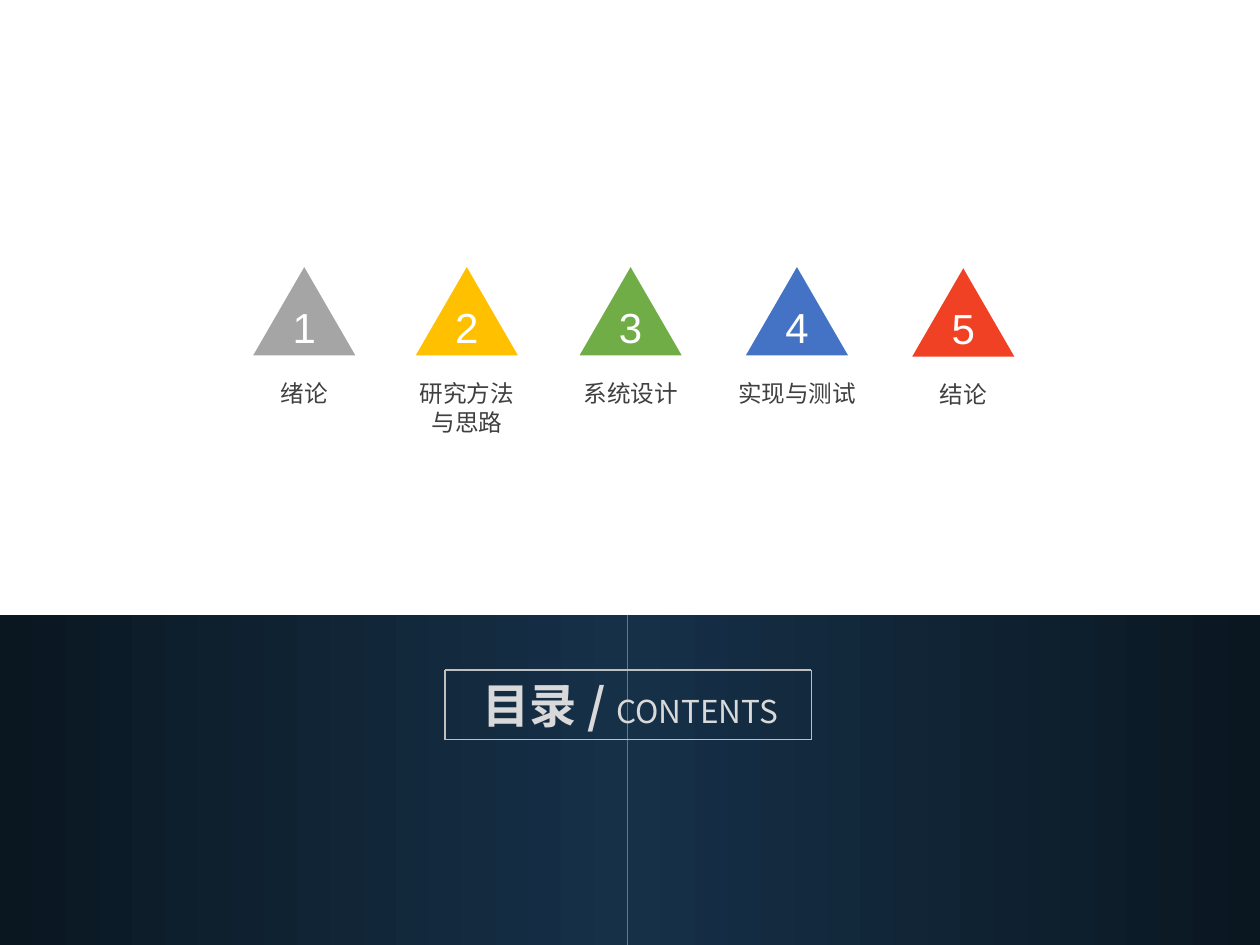
from dataclasses import dataclass

from lxml.etree import SubElement
from pptx import Presentation
from pptx.dml.color import RGBColor
from pptx.enum.shapes import MSO_CONNECTOR, MSO_SHAPE
from pptx.enum.text import MSO_AUTO_SIZE, PP_ALIGN
from pptx.oxml.ns import qn
from pptx.util import Inches, Pt

# number, label lines, triangle left, triangle top, triangle colour
CHAPTERS = [
    ("1", ["绪论"], 2.01, 2.12, "A5A5A5"),
    ("2", ["研究方法", "与思路"], 3.3, 2.12, "FFC000"),
    ("3", ["系统设计"], 4.6, 2.12, "70AD47"),
    ("4", ["实现与测试"], 5.92, 2.12, "4472C4"),
    ("5", ["结论"], 7.24, 2.13, "F14124"),
]
HEADING, SUBHEADING = "目录 / ", "CONTENTS"

SLIDE_W, SLIDE_H = 10, 7.5
BAND_TOP, BAND_SPLIT = 4.88, 4.98
TRIANGLE_W, TRIANGLE_H = 0.81, 0.7
NUMBER_W, NUMBER_H, NUMBER_DROP = 0.39, 0.5, 0.22
LABEL_DROP = 0.84
FRAME_CORNERS = [(3.53, 5.32), (6.44, 5.32), (6.44, 5.87), (3.53, 5.87)]


@dataclass(frozen=True)
class Theme:
    chinese_font: str = "Noto Sans CJK SC"
    number_font: str = "Arial"
    band_inner: str = "163048"
    band_outer: str = "0A1721"
    label: str = "404040"
    number: str = "FFFFFF"
    heading: str = "D9D9D9"
    frame: str = "BFBFBF"
    label_size: float = 13.5
    number_size: float = 24
    heading_size: float = 27
    subheading_size: float = 18


THEME = Theme()


def rgb(value):
    return RGBColor.from_string(value)


def add_text(shapes, box, lines, font, color, wrap=False):
    """Add centred paragraphs; each line is a list of (text, size, bold)."""
    textbox = shapes.add_textbox(*map(Inches, box))
    frame = textbox.text_frame
    frame.word_wrap = wrap
    frame.auto_size = MSO_AUTO_SIZE.SHAPE_TO_FIT_TEXT
    for index, line in enumerate(lines):
        paragraph = frame.add_paragraph() if index else frame.paragraphs[0]
        paragraph.alignment = PP_ALIGN.CENTER
        for text, size, bold in line:
            run = paragraph.add_run()
            run.text = text
            run.font.size = Pt(size)
            run.font.bold = bold
            run.font.color.rgb = rgb(color)
            run.font.name = font
            SubElement(run.font._element, qn("a:ea"), typeface=font)


def add_band(shapes, left, width, rotation):
    band = shapes.add_shape(MSO_SHAPE.RECTANGLE, Inches(left), Inches(BAND_TOP),
                            Inches(width), Inches(SLIDE_H - BAND_TOP))
    band.rotation = rotation
    band.shadow.inherit = False
    band.line.fill.background()
    band.fill.gradient()
    band.fill.gradient_angle = 0
    for stop, color in zip(band.fill.gradient_stops,
                           (THEME.band_inner, THEME.band_outer)):
        stop.color.rgb = rgb(color)


def add_frame(shapes):
    for start, end in zip(FRAME_CORNERS, FRAME_CORNERS[1:] + FRAME_CORNERS[:1]):
        side = shapes.add_connector(MSO_CONNECTOR.STRAIGHT,
                                    *map(Inches, start + end))
        side.line.color.rgb = rgb(THEME.frame)
        side.line.width = Pt(1)
        SubElement(side._element.spPr, qn("a:effectLst"))


def add_chapter(shapes, number, label, left, top, color):
    center = left + TRIANGLE_W / 2
    badge = shapes.add_group_shape().shapes
    triangle = badge.add_shape(MSO_SHAPE.ISOSCELES_TRIANGLE, Inches(left),
                               Inches(top), Inches(TRIANGLE_W), Inches(TRIANGLE_H))
    triangle.shadow.inherit = False
    triangle.fill.solid()
    triangle.fill.fore_color.rgb = rgb(color)
    triangle.line.fill.background()
    add_text(badge, (center - NUMBER_W / 2, top + NUMBER_DROP, NUMBER_W, NUMBER_H),
             [[(number, THEME.number_size, False)]],
             THEME.number_font, THEME.number)

    width = 0.2 + 0.19 * max(map(len, label))
    height = 0.1 + 0.23 * len(label)
    add_text(shapes, (center - width / 2, top + LABEL_DROP, width, height),
             [[(line, THEME.label_size, False)] for line in label],
             THEME.chinese_font, THEME.label)


def main():
    deck = Presentation()
    deck.slide_width, deck.slide_height = Inches(SLIDE_W), Inches(SLIDE_H)
    slide = deck.slides.add_slide(deck.slide_layouts[6])
    shapes = slide.shapes

    add_band(shapes, 0, BAND_SPLIT, 180)
    add_band(shapes, BAND_SPLIT, SLIDE_W - BAND_SPLIT, 0)
    add_text(shapes, (3.64, 5.32, 2.72, 0.56),
             [[(HEADING, THEME.heading_size, True),
               (SUBHEADING, THEME.subheading_size, False)]],
             THEME.chinese_font, THEME.heading, wrap=True)
    add_frame(shapes)
    for chapter in CHAPTERS:
        add_chapter(shapes, *chapter)

    deck.save("out.pptx")


if __name__ == "__main__":
    main()
